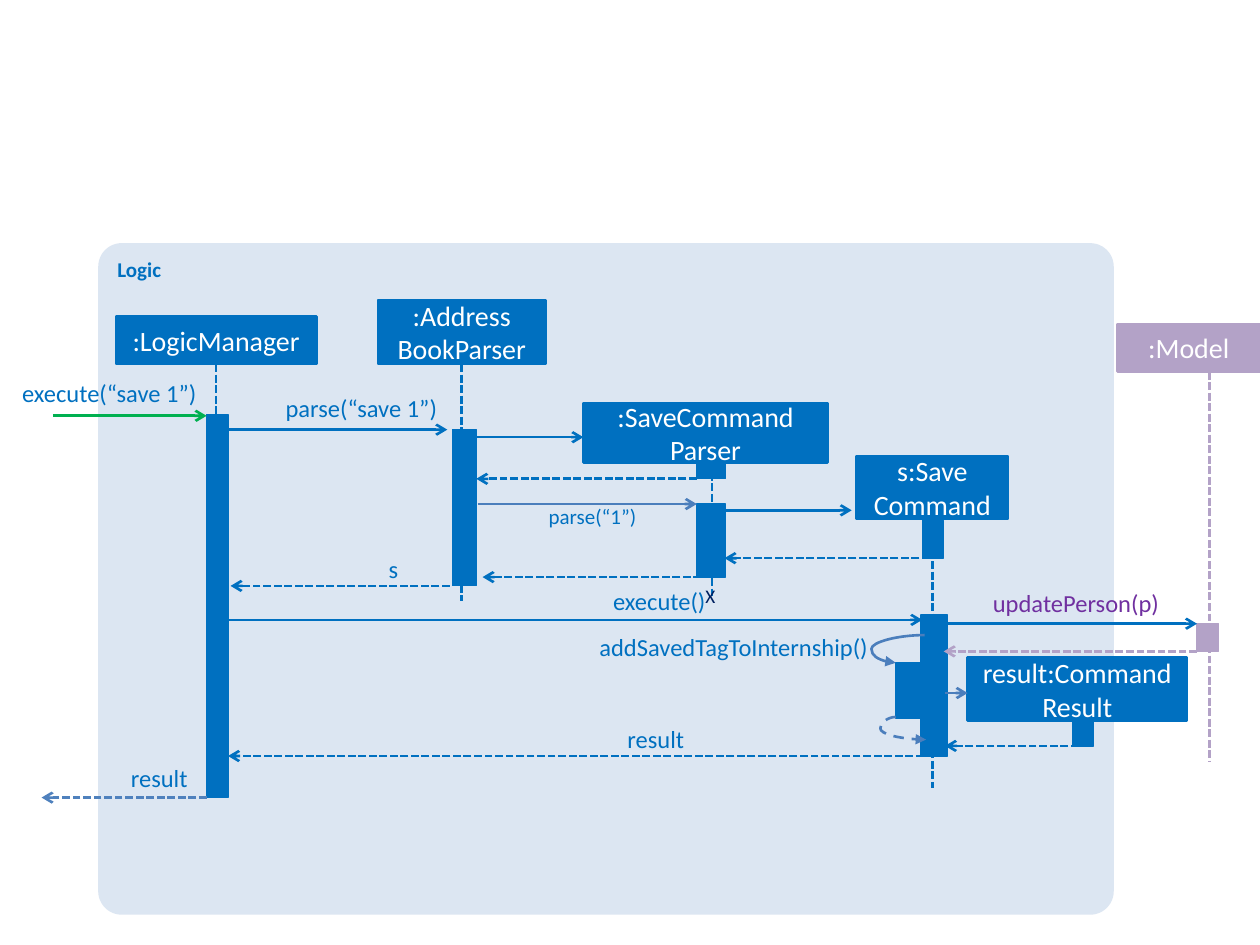
from lxml import etree
from pptx import Presentation
from pptx.dml.color import RGBColor
from pptx.enum.dml import MSO_LINE
from pptx.enum.shapes import MSO_CONNECTOR, MSO_SHAPE
from pptx.enum.text import MSO_ANCHOR, MSO_AUTO_SIZE, PP_ALIGN
from pptx.oxml.ns import qn
from pptx.util import Inches, Pt

COLORS = {
    "panel": "DCE6F2", "blue": "0070C0", "steel": "4F81BD", "curve": "4B7EBC",
    "green": "00B050", "lilac": "B3A2C7", "purple": "7030A0", "navy": "002060",
    "white": "FFFFFF",
}
rgb = {name: RGBColor.from_string(value) for name, value in COLORS.items()}

prs = Presentation()
prs.slide_width, prs.slide_height = Inches(10), Inches(7.5)
s = prs.slides.add_slide(prs.slide_layouts[6])


def add_box(x, y, w, h, color, line_width=0.75, text="", kind=MSO_SHAPE.RECTANGLE):
    sp = s.shapes.add_shape(kind, Inches(x), Inches(y), Inches(w), Inches(h))
    sp.shadow.inherit = False
    sp.fill.solid()
    sp.fill.fore_color.rgb = rgb[color]
    if line_width:
        sp.line.color.rgb = rgb[color]
        sp.line.width = Pt(line_width)
    else:
        sp.line.fill.background()
    if text:
        sp.text_frame.text = text
        for p in sp.text_frame.paragraphs:
            p.alignment = PP_ALIGN.CENTER
            p.font.name, p.font.size = "Calibri", Pt(16)
            p.font.color.rgb = rgb["white"]
    return sp


def add_line(x1, y1, x2, y2, color, dash=None, arrow="arrow", kind=MSO_CONNECTOR.STRAIGHT):
    c = s.shapes.add_connector(kind, Inches(x1), Inches(y1), Inches(x2), Inches(y2))
    c.line.color.rgb = rgb[color]
    c.line.width = Pt(1.5)
    if dash:
        c.line.dash_style = dash
    if arrow:
        etree.SubElement(c.line._get_or_add_ln(), qn("a:tailEnd"), type=arrow)
    etree.SubElement(c._element.spPr, qn("a:effectLst"))
    return c


panel = add_box(0.78, 1.93, 8.06, 5.33, "panel", 0, "Logic", MSO_SHAPE.ROUNDED_RECTANGLE)
panel.adjustments[0] = 0.035
panel.text_frame.vertical_anchor = MSO_ANCHOR.TOP
p = panel.text_frame.paragraphs[0]
p.alignment = PP_ALIGN.LEFT
p.font.size, p.font.bold = Pt(12), True
p.font.color.rgb = rgb["blue"]

participants = [
    (":LogicManager", 0.92, 2.51, 1.59, 0.38, "blue", 1.72, 5.75),
    (":Address\nBookParser", 3, 2.38, 1.33, 0.51, "blue", 3.67, 4.77),
    (":SaveCommand\nParser", 4.63, 3.2, 1.94, 0.47, "blue", 5.65, 4.75),
    ("s:Save\vCommand", 6.8, 3.62, 1.2, 0.5, "blue", 7.41, 6.25),
    (":Model", 8.87, 2.57, 1.13, 0.38, "lilac", 9.6, 6.05),
    ("result:Command Result", 7.68, 5.22, 1.74, 0.5, "blue", None, None),
]
for text, x, y, w, h, color, life_x, life_end in participants:
    sp = add_box(x, y, w, h, color, 1.5, text)
    if life_x:
        lifeline = add_line(life_x, y + h, life_x, life_end, color, MSO_LINE.SQUARE_DOT, None)
        if abs(x + w / 2 - life_x) < 0.02:
            lifeline.begin_connect(sp, 2)
            lifeline.end_x = lifeline.begin_x

activations = [
    (1.64, 3.29, 0.17, 3.04, "blue"),
    (3.59, 3.41, 0.19, 1.24, "blue"),
    (5.53, 3.67, 0.23, 0.13, "blue"),
    (5.53, 4, 0.23, 0.58, "blue"),
    (7.32, 4.13, 0.17, 0.3, "blue"),
    (7.31, 4.88, 0.21, 1.12, "blue"),
    (7.11, 5.26, 0.32, 0.44, "blue"),
    (8.51, 5.73, 0.17, 0.19, "blue"),
    (9.5, 4.95, 0.17, 0.22, "lilac"),
]
for x, y, w, h, color in activations:
    add_box(x, y, w, h, color)

calls = [
    (0.42, 1.64, 3.3, "green"),
    (1.81, 3.55, 3.41, "blue"),
    (3.78, 4.63, 3.47, "blue"),
    (3.79, 5.53, 4, "curve"),
    (5.75, 6.76, 4.05, "blue"),
    (1.81, 7.32, 4.92, "blue"),
    (7.49, 9.5, 4.95, "blue"),
    (7.5, 7.68, 5.5, "curve"),
]
for x1, x2, y, color in calls:
    add_line(x1, y, x2, y, color)

returns = [
    (5.53, 3.78, 3.8, "blue"),
    (7.38, 5.75, 4.43, "blue"),
    (5.65, 3.83, 4.58, "blue"),
    (3.57, 1.83, 4.65, "blue"),
    (9.5, 7.49, 5.17, "lilac"),
    (8.56, 7.5, 5.92, "blue"),
    (7.33, 1.81, 6, "blue"),
    (1.64, 0.33, 6.33, "steel"),
]
for x1, x2, y, color in returns:
    add_line(x1, y, x2, y, color, MSO_LINE.SQUARE_DOT)

self_calls = [
    (7.34, 5.04, 7.11, 5.26, None, 184000),
    (7.11, 5.69, 7.35, 5.87, MSO_LINE.DASH, -51300),
]
for x1, y1, x2, y2, dash, bend in self_calls:
    c = add_line(x1, y1, x2, y2, "curve", dash, "triangle", MSO_CONNECTOR.CURVE)
    guides = c._element.spPr.find(qn("a:prstGeom")).get_or_add_avLst()
    etree.SubElement(guides, qn("a:gd"), name="adj1", fmla=f"val {bend}")

labels = [
    ("execute(“save 1”)", 0, 3, 1.56, 14, "blue"),
    ("parse(“save 1”)", 1.91, 3.12, 1.56, 14, "blue"),
    ("parse(“1”)", 4.21, 4, 0.84, 12, "blue"),
    ("s", 2.92, 4.4, 0.24, 14, "blue"),
    ("execute()", 4.66, 4.65, 0.94, 14, "blue"),
    ("updatePerson(p)", 7.64, 4.67, 1.56, 14, "purple"),
    ("addSavedTagToInternship()", 4.59, 5.02, 2.3, 14, "blue"),
    ("result", 4.75, 5.75, 0.68, 14, "blue"),
    ("result", 0.66, 6.06, 0.83, 14, "blue"),
    ("X", 5.5, 4.59, 0.28, 11, "navy"),
]
for text, x, y, w, size, color in labels:
    is_end_mark = text == "X"
    height = {11: 0.29, 12: 0.2, 14: 0.24}[size]
    tf = s.shapes.add_textbox(Inches(x), Inches(y), Inches(w), Inches(height)).text_frame
    tf.text = text
    tf.word_wrap = not is_end_mark
    tf.auto_size = MSO_AUTO_SIZE.SHAPE_TO_FIT_TEXT
    p = tf.paragraphs[0]
    p.font.name, p.font.size = "Calibri", Pt(size)
    p.font.color.rgb = rgb[color]
    if not is_end_mark:
        tf.margin_left = tf.margin_right = tf.margin_top = tf.margin_bottom = 0
        p.alignment = PP_ALIGN.RIGHT

prs.save("out.pptx")
